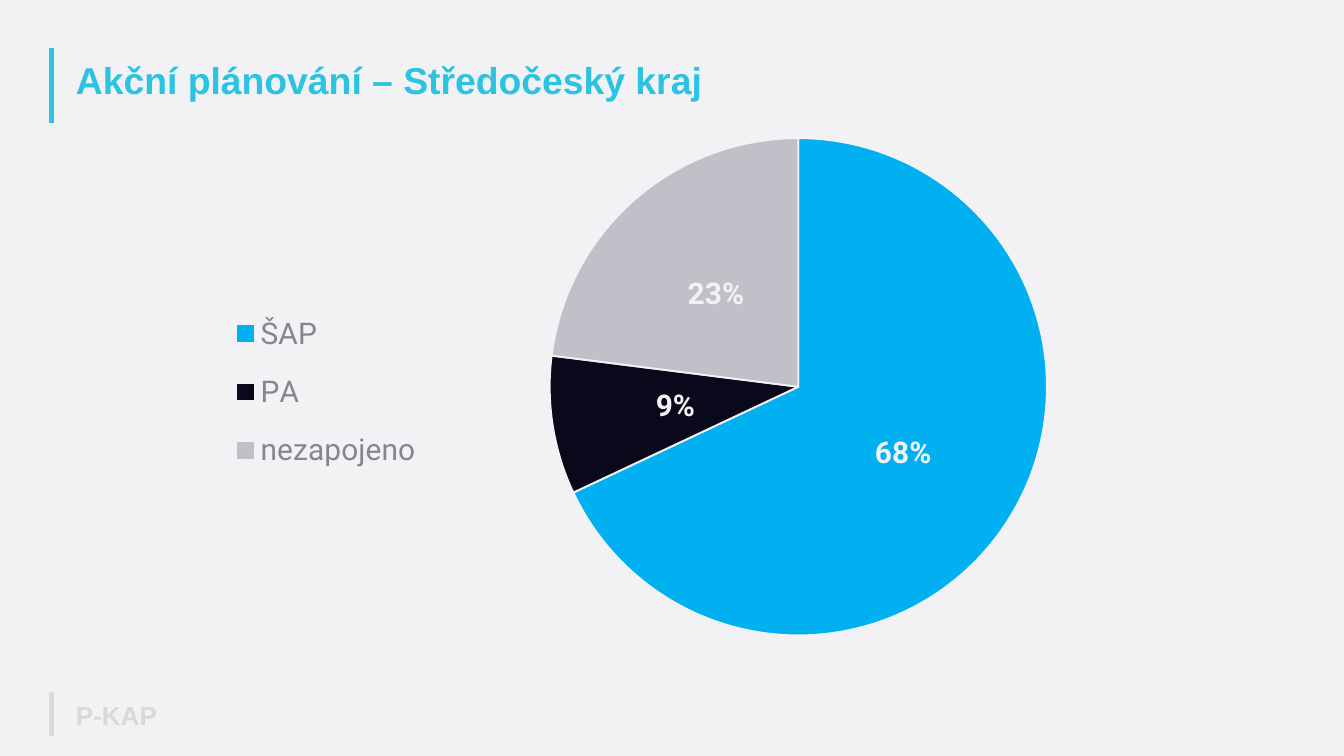
from pptx import Presentation
from pptx import util as u
from pptx.chart import data as d
from pptx.dml import color as c
from pptx.enum import chart as e, shapes, text
from pptx.oxml import parse_xml
from pptx.oxml.ns import nsdecls, qn

WIDTH, HEIGHT = 20, 11.25
BACKGROUND, ACCENT, MUTED = "F2F2F5", "2BC3E1", "D9D9D9"
SHARES = [("ŠAP", 68, "00B0F0"), ("PA", 9, "0A091B"), ("nezapojeno", 23, "C0C0C8")]
PIE_LAYOUT = {"x": 0.35, "y": 0.02, "w": 0.5, "h": 0.96}
LEGEND_LAYOUT = {"x": 0.02, "y": 0.32, "w": 0.21, "h": 0.38}


def rgb(value):
    """Turn a hex string into a colour."""
    return c.RGBColor.from_string(value)


def apply(target, **formats):
    """Set each format value as an attribute of the target."""
    for name, value in formats.items():
        setattr(target, name, value)


def style_font(font, size, color, name, bold=False):
    """Format a font."""
    apply(font, size=u.Pt(size), name=name, bold=bold)
    font.color.rgb = rgb(color)


def place(shape, box):
    """Move a shape to a box given in inches."""
    for name, value in zip(("left", "top", "width", "height"), box):
        setattr(shape, name, u.Inches(value))


def add_bar(slide, box, color):
    """Draw a vertical accent line along the left side of a box."""
    left, top, _, height = box
    ends = (u.Inches(value) for value in (left, top, left, top + height))
    line = slide.shapes.add_connector(shapes.MSO_CONNECTOR.STRAIGHT, *ends)
    line.line.color.rgb = rgb(color)
    line.line.width = u.Pt(5)
    line._element.spPr.append(parse_xml(f"<a:effectLst {nsdecls('a')}/>"))


def write_heading(shape, box, wording, size, color):
    """Fill a shape with one bold line, vertically centred in the box."""
    place(shape, box)
    frame = shape.text_frame
    apply(frame, word_wrap=True, vertical_anchor=text.MSO_ANCHOR.MIDDLE,
          margin_left=u.Inches(0.1), margin_top=0, margin_bottom=0)
    paragraph = frame.paragraphs[0]
    apply(paragraph, text=wording, alignment=text.PP_ALIGN.LEFT, line_spacing=0.9)
    style_font(paragraph.runs[0].font, size, color, "Arial", True)


def add_header(slide, box):
    """Place the title and its accent line."""
    left, top, width, height = box
    add_bar(slide, box, ACCENT)
    write_heading(slide.shapes.title, (left + 0.26, top + 0.17, width - 0.26, 0.71),
                  "Akční plánování – Středočeský kraj", 40, ACCENT)


def add_footer(slide, box):
    """Place the footer label and its accent line."""
    left, top, width, height = box
    add_bar(slide, box, MUTED)
    label = slide.shapes.add_textbox(0, 0, 0, 0)
    write_heading(label, (left + 0.26, top + 0.04, width - 0.26, height),
                  "P-KAP", 28, MUTED)


def set_layout(element, shares, inner=False):
    """Give a chart part a fixed place as shares of the chart."""
    for old in element.findall(qn("c:layout")):
        element.remove(old)
    target = '<c:layoutTarget val="inner"/>' if inner else ""
    modes = "".join(f'<c:{axis}Mode val="edge"/>' for axis in "xy")
    sizes = "".join(f'<c:{key} val="{value}"/>' for key, value in shares.items())
    layout = parse_xml(f"<c:layout {nsdecls('c')}><c:manualLayout>{target}{modes}{sizes}"
                       "</c:manualLayout></c:layout>")
    element.insert(0 if inner else 1, layout)


def add_pie(slide, box):
    """Place the pie chart with its legend on the left."""
    chart_data = d.CategoryChartData()
    chart_data.categories = [name for name, _, _ in SHARES]
    chart_data.add_series("Series 1", [value for _, value, _ in SHARES])
    frame = slide.shapes.add_chart(e.XL_CHART_TYPE.PIE, *map(u.Inches, box), chart_data)
    chart = frame.chart
    apply(chart, has_title=False, has_legend=True)
    style_font(chart.font, 10, "0A091B", "Roboto")
    apply(chart.legend, position=e.XL_LEGEND_POSITION.LEFT, include_in_layout=False)
    style_font(chart.legend.font, 32, "858591", "Roboto")

    plot = chart.plots[0]
    apply(plot, vary_by_categories=True, has_data_labels=True)
    apply(plot.data_labels, show_percentage=True, show_value=False,
          number_format="0%", number_format_is_linked=False,
          position=e.XL_LABEL_POSITION.CENTER)
    style_font(plot.data_labels.font, 32, BACKGROUND, "Roboto", True)
    for index, (_, _, color) in enumerate(SHARES):
        point = plot.series[0].points[index].format
        point.fill.solid()
        point.fill.fore_color.rgb = rgb(color)
        point.line.color.rgb = rgb(BACKGROUND)
        point.line.width = u.Pt(2)

    set_layout(chart._chartSpace.chart.plotArea, PIE_LAYOUT, inner=True)
    set_layout(chart.legend._element, LEGEND_LAYOUT)


def main():
    """Build and save the presentation."""
    presentation = Presentation()
    apply(presentation, slide_width=u.Inches(WIDTH), slide_height=u.Inches(HEIGHT))
    slide = presentation.slides.add_slide(presentation.slide_layouts[5])
    slide.background.fill.solid()
    slide.background.fill.fore_color.rgb = rgb(BACKGROUND)
    margin = 0.0385 * WIDTH
    add_footer(slide, (margin, 0.916 * HEIGHT, 0.25 * WIDTH, 0.058 * HEIGHT))
    add_pie(slide, (0.15 * WIDTH, HEIGHT / 6, 0.74 * WIDTH, 0.69 * HEIGHT))
    add_header(slide, (margin, 0.063 * HEIGHT, 0.915 * WIDTH, 0.1 * HEIGHT))
    presentation.save("out.pptx")


if __name__ == "__main__":
    main()
